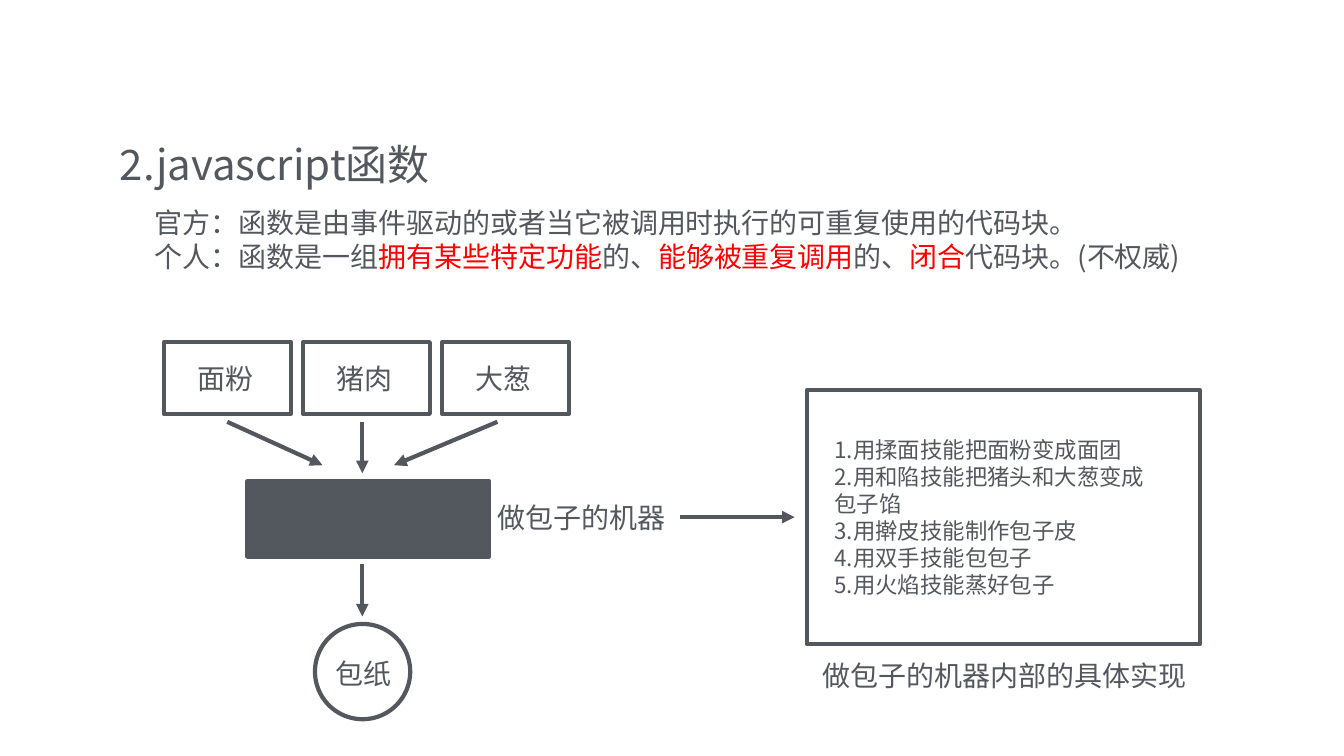
from lxml import etree
from pptx import Presentation
from pptx.dml.color import RGBColor
from pptx.enum.shapes import MSO_CONNECTOR, MSO_SHAPE
from pptx.enum.text import MSO_ANCHOR, MSO_AUTO_SIZE, PP_ALIGN
from pptx.oxml.ns import qn
from pptx.util import Inches, Pt

COLORS = {"slate": "53585F", "red": "FF0000"}
CJK, LATIN = "Noto Sans CJK SC", "Arial"
LINE_WIDTH = 6

TITLE = "2.javascript函数"
# Each definition is a list of (text, colour) spans.
DEFINITIONS = [
    [("\t官方：函数是由事件驱动的或者当它被调用时执行的可重复使用的代码块。", "slate")],
    [("\t个人：函数是一组", "slate"), ("拥有某些特定功能", "red"), ("的、", "slate"),
     ("能够被重复调用", "red"), ("的、", "slate"), ("闭合", "red"),
     ("代码块。(不权威)", "slate")],
]
INGREDIENTS = ["面粉", "猪肉", "大葱"]
MACHINE, PRODUCT = "做包子的机器", "包纸"
STEPS = [
    "1.用揉面技能把面粉变成面团",
    "2.用和陷技能把猪头和大葱变成包子馅",
    "3.用擀皮技能制作包子皮",
    "4.用双手技能包包子",
    "5.用火焰技能蒸好包子",
]
STEPS_CAPTION = "做包子的机器内部的具体实现"

INGREDIENT_LEFT, INGREDIENT_PITCH = 3.25, 2.76
INGREDIENT_TOP, INGREDIENT_WIDTH, INGREDIENT_HEIGHT = 6.79, 2.52, 1.42
FLOW_X = 7.19
# Arrows as (x1, y1, x2, y2)
ARROWS = [
    (4.51, 8.37, 6.4, 9.23),
    (FLOW_X, 8.37, FLOW_X, 9.39),
    (9.87, 8.37, 7.82, 9.23),
    (FLOW_X, 11.2, FLOW_X, 12.23),
    (13.49, 10.26, 15.77, 10.26),
]


def color(name):
    return RGBColor.from_string(COLORS[name])


def style_span(span, size, font, color_name="slate"):
    span.font.size = Pt(size)
    span.font.name = font
    span.font.color.rgb = color(color_name)
    latin = span.font._element.find(qn("a:latin"))
    east_asian = etree.Element(qn("a:ea"), typeface=CJK)
    latin.addnext(east_asian)


def add_text(slide, place, paragraphs, size, font, wrap=True):
    """Add a text box whose paragraphs are lists of (text, colour) spans."""
    box = slide.shapes.add_textbox(*map(Inches, place))
    frame = box.text_frame
    frame.word_wrap = wrap
    frame.auto_size = MSO_AUTO_SIZE.SHAPE_TO_FIT_TEXT
    for index, spans in enumerate(paragraphs):
        para = frame.paragraphs[0] if index == 0 else frame.add_paragraph()
        for text, color_name in spans:
            span = para.add_run()
            span.text = text
            style_span(span, size, font, color_name)


def add_label(slide, text, center_x, center_y):
    """Add a one-line label centred on a point; a character is 40 pt wide."""
    width, height = len(text) * 40 / 72 + 0.2, 0.77
    place = (center_x - width / 2, center_y - height / 2, width, height)
    add_text(slide, place, [[(text, "slate")]], 40, LATIN, wrap=False)


def add_outline(slide, kind, place, filled=False):
    shape = slide.shapes.add_shape(kind, *map(Inches, place))
    shape.shadow.inherit = False
    if filled:
        shape.fill.solid()
        shape.fill.fore_color.rgb = color("slate")
    else:
        shape.fill.background()
    shape.line.color.rgb = color("slate")
    shape.line.width = Pt(LINE_WIDTH)


def add_arrow(slide, ends):
    arrow = slide.shapes.add_connector(MSO_CONNECTOR.STRAIGHT, *map(Inches, ends))
    arrow.line.color.rgb = color("slate")
    arrow.line.width = Pt(LINE_WIDTH)
    etree.SubElement(arrow.line._get_or_add_ln(), qn("a:tailEnd"), type="triangle")
    etree.SubElement(arrow._element.spPr, qn("a:effectLst"))


def set_title(slide):
    title = slide.shapes.title
    title.left, title.top, title.width, title.height = map(
        Inches, (2.32, 2.49, 22.03, 1.31))
    frame = title.text_frame
    frame.text = TITLE
    frame.word_wrap = True
    frame.auto_size = MSO_AUTO_SIZE.SHAPE_TO_FIT_TEXT
    frame.vertical_anchor = MSO_ANCHOR.TOP
    frame.margin_left = frame.margin_right = Inches(0.06)
    frame.margin_top = frame.margin_bottom = Inches(0.06)
    para = frame.paragraphs[0]
    para.alignment = PP_ALIGN.LEFT
    para.line_spacing = 1.2
    style_span(para.runs[0], 60, CJK)


def main():
    deck = Presentation()
    deck.slide_width, deck.slide_height = Inches(26.67), Inches(15)
    slide = deck.slides.add_slide(deck.slide_layouts[5])

    set_title(slide)
    add_text(slide, (2.47, 4.03, 23.39, 1.43), DEFINITIONS, 40, CJK)

    for index, ingredient in enumerate(INGREDIENTS):
        left = INGREDIENT_LEFT + index * INGREDIENT_PITCH
        add_outline(slide, MSO_SHAPE.RECTANGLE,
                    (left, INGREDIENT_TOP, INGREDIENT_WIDTH, INGREDIENT_HEIGHT))
        add_label(slide, ingredient, left + INGREDIENT_WIDTH / 2 - 0.03,
                  INGREDIENT_TOP + INGREDIENT_HEIGHT / 2)

    add_outline(slide, MSO_SHAPE.RECTANGLE, (4.91, 9.55, 4.8, 1.49), filled=True)
    add_label(slide, MACHINE, 11.55, 10.26)
    add_outline(slide, MSO_SHAPE.OVAL, (6.25, 12.38, 1.89, 1.89))
    add_label(slide, PRODUCT, 7.21, 13.36)

    for ends in ARROWS:
        add_arrow(slide, ends)

    add_outline(slide, MSO_SHAPE.RECTANGLE, (16.01, 7.74, 7.8, 5.04))
    add_text(slide, (16.46, 8.61, 6.79, 3.3),
             [[(step, "slate")] for step in STEPS], 32, CJK)
    add_label(slide, STEPS_CAPTION, 19.94, 13.4)

    deck.save("out.pptx")


if __name__ == "__main__":
    main()
